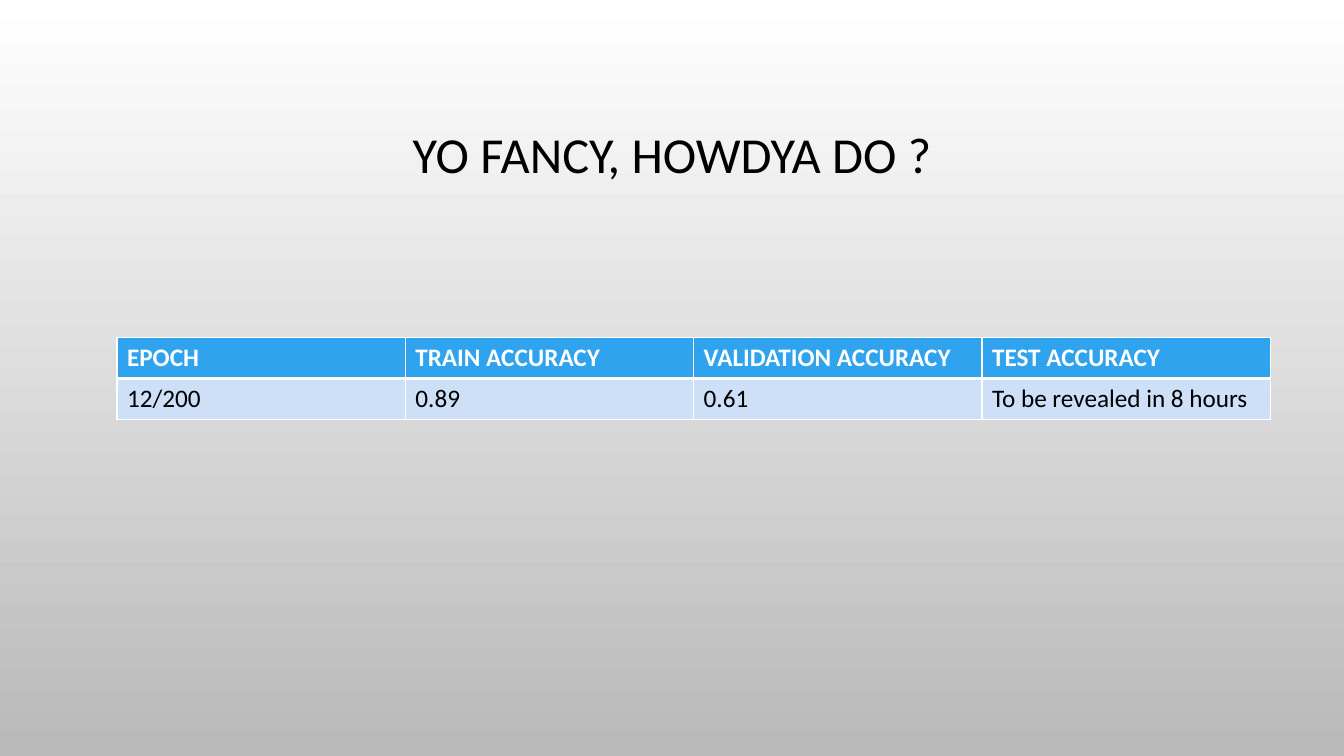
import pptx
import pptx.dml.color
import pptx.enum.text
import pptx.oxml
import pptx.oxml.ns
import pptx.util
from pptx.util import Inches


def rgb(value):
    return pptx.dml.color.RGBColor.from_string(value)


def style_run(r, size, color, bold=False):
    r.font.name = "Calibri"
    r.font.size = pptx.util.Pt(size)
    r.font.bold = bold
    r.font.color.rgb = rgb(color)


prs = pptx.Presentation()
prs.slide_width = Inches(13.33)
prs.slide_height = Inches(7.5)
s = prs.slides.add_slide(prs.slide_layouts[6])

# Background: white at the top to grey at the bottom
fill = s.background.fill
fill.gradient()
fill.gradient_angle = 270
for stop, position, color in zip(fill.gradient_stops, (0, 1), ("FFFFFF", "B9B9B9")):
    stop.position = position
    stop.color.rgb = rgb(color)

# Title
tf = s.shapes.add_textbox(Inches(1), Inches(0.68), Inches(11.33), Inches(1.75)).text_frame
tf.word_wrap = True
tf.vertical_anchor = pptx.enum.text.MSO_ANCHOR.MIDDLE
tf.text = "YO FANCY, HOWDYA DO ?"
p = tf.paragraphs[0]
p.alignment = pptx.enum.text.PP_ALIGN.CENTER
p.line_spacing = 0.9
style_run(p.runs[0], 36, "000000")

# Accuracy table
rows = [
    ["EPOCH", "TRAIN ACCURACY", "VALIDATION ACCURACY", "TEST ACCURACY"],
    ["12/200", "0.89", "0.61", "To be revealed in 8 hours"],
]
# Per row: fill, text colour, bold, top and bottom border widths in points
row_styles = [("2FA3EE", "FFFFFF", True, 1, 3), ("CDE0F8", "000000", False, 3, 1)]
table = s.shapes.add_table(2, 4, Inches(1.16), Inches(3.35), Inches(11.44), Inches(0.81)).table

for i, (texts, style) in enumerate(zip(rows, row_styles)):
    fill_color, text_color, bold, top, bottom = style
    for j, text in enumerate(texts):
        cell = table.cell(i, j)
        cell.text = text
        style_run(cell.text_frame.paragraphs[0].runs[0], 18, text_color, bold)

        # White borders go before the fill in the cell properties
        tcPr = cell._tc.get_or_add_tcPr()
        for side, width in (("L", 1), ("R", 1), ("T", top), ("B", bottom)):
            tcPr.append(pptx.oxml.parse_xml(
                f'<a:ln{side} {pptx.oxml.ns.nsdecls("a")} w="{pptx.util.Pt(width)}">'
                f'<a:solidFill><a:srgbClr val="FFFFFF"/></a:solidFill></a:ln{side}>'))
        cell.fill.solid()
        cell.fill.fore_color.rgb = rgb(fill_color)

prs.save("out.pptx")
